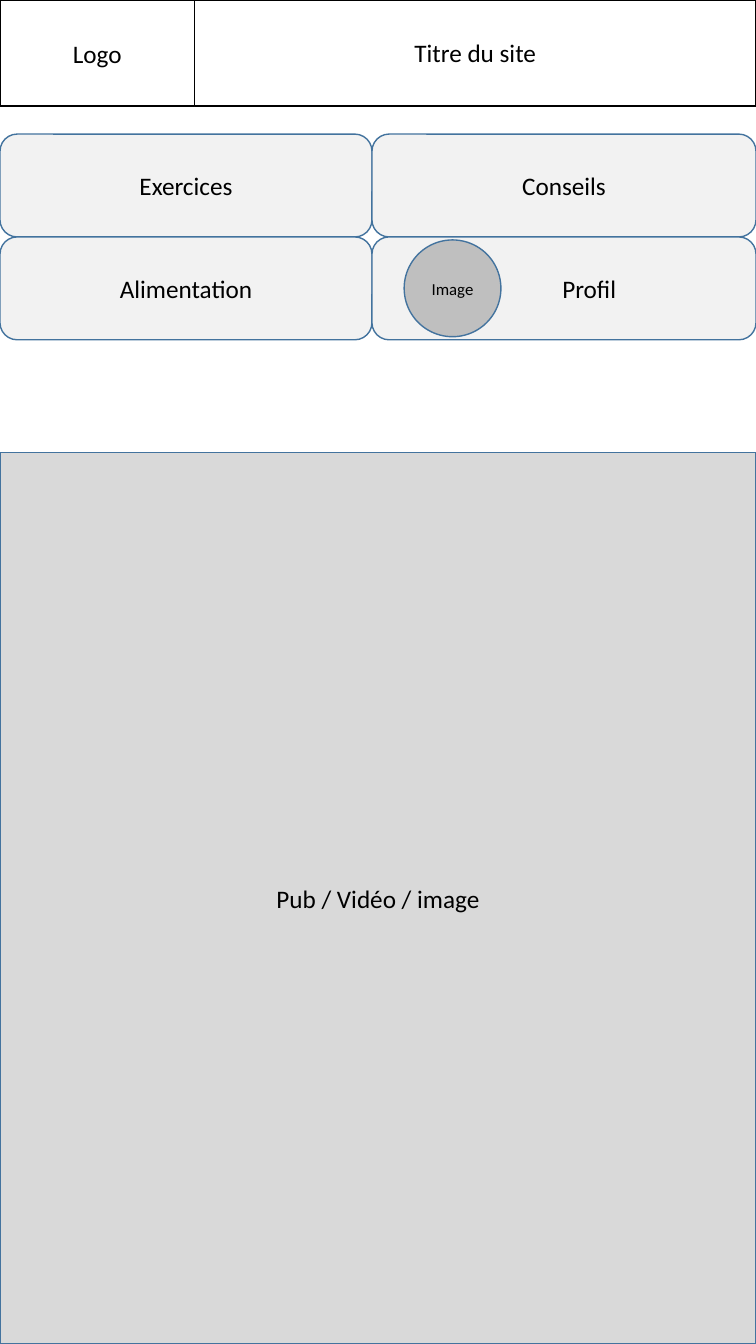
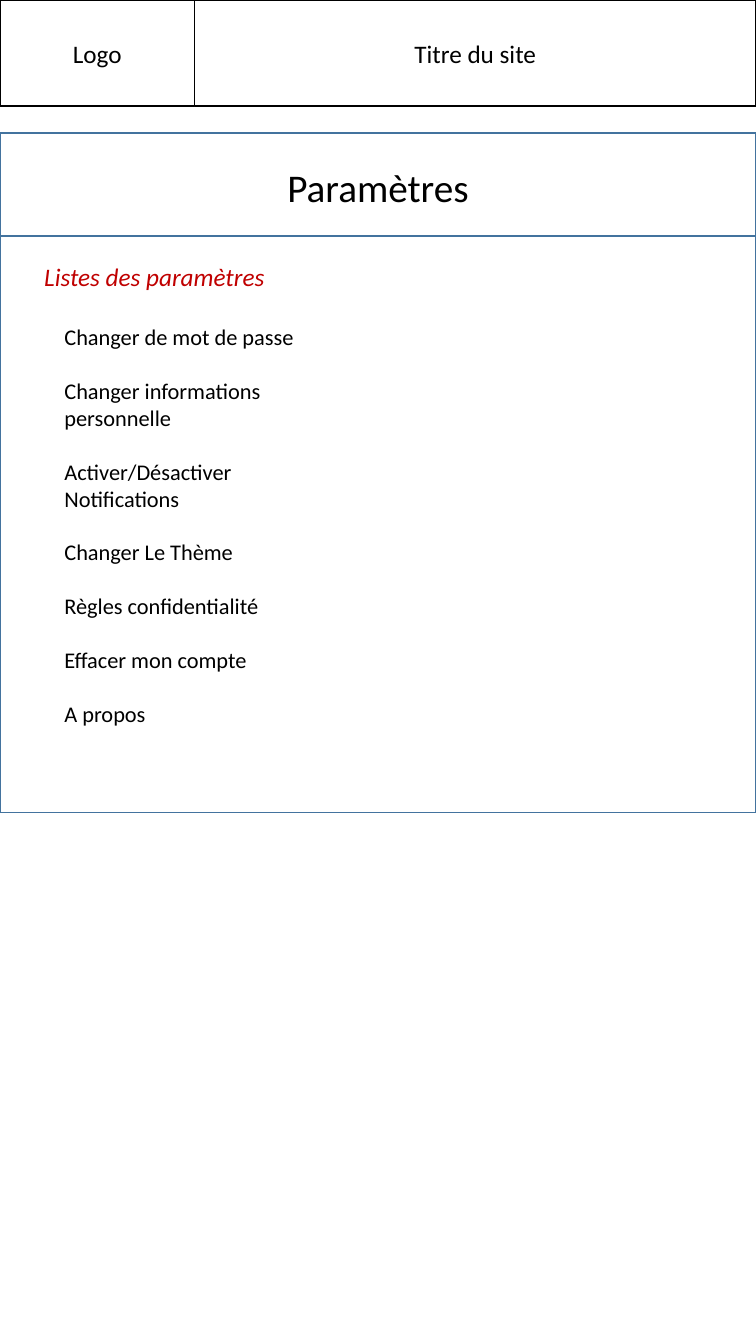
from pptx import Presentation
from pptx.dml.color import RGBColor
from pptx.enum import shapes, text
from pptx.util import Inches, Pt

BLACK = RGBColor(0x00, 0x00, 0x00)
WHITE = RGBColor(0xFF, 0xFF, 0xFF)
BLUE = RGBColor(0x43, 0x73, 0x9E)
RED = RGBColor(0xC0, 0x00, 0x00)
PALE = RGBColor(0xF2, 0xF2, 0xF2)
LIGHT = RGBColor(0xD9, 0xD9, 0xD9)
GREY = RGBColor(0xBF, 0xBF, 0xBF)

FONT = "Calibri"
WIDTH, HEIGHT = 7.5, 13.33
LOGO_W, HEADER_H = 1.93, 1.05
TITLE_ONLY = 5
RECT = shapes.MSO_SHAPE.RECTANGLE
ROUNDED = shapes.MSO_SHAPE.ROUNDED_RECTANGLE
OVAL = shapes.MSO_SHAPE.OVAL
CENTER, LEFT = text.PP_ALIGN.CENTER, text.PP_ALIGN.LEFT
MIDDLE, TOP = text.MSO_ANCHOR.MIDDLE, text.MSO_ANCHOR.TOP


def write(sp, *lines, size=18, color=BLACK, italic=False, align=CENTER,
          anchor=MIDDLE, gap=0, indent=0.1):
    """Fill a shape with one paragraph per line."""
    tf = sp.text_frame
    tf.word_wrap = True
    tf.auto_size = text.MSO_AUTO_SIZE.NONE
    tf.vertical_anchor = anchor
    tf.margin_left, tf.margin_right = Inches(indent), Inches(0.1)
    tf.margin_top = tf.margin_bottom = Inches(0.05)
    for i, line in enumerate(lines):
        p = tf.add_paragraph() if i else tf.paragraphs[0]
        p.alignment = align
        p.space_after = Pt(gap)
        r = p.add_run()
        r.text = line
        r.font.name, r.font.size = FONT, Pt(size)
        r.font.italic = italic
        r.font.color.rgb = color


class Wireframe:
    """Page style and the slide being drawn."""

    def __init__(self):
        """Start an empty portrait deck."""
        self.prs = Presentation()
        self.prs.slide_width = Inches(WIDTH)
        self.prs.slide_height = Inches(HEIGHT)
        self.s = None

    def page(self):
        """Add a title-only slide with the logo cell."""
        layout = self.prs.slide_layouts[TITLE_ONLY]
        self.s = self.prs.slides.add_slide(layout)
        self.box(0, 0, LOGO_W, HEADER_H, "Logo", line=BLACK)

    def paint(self, sp, fill, line):
        """Set the fill and the outline."""
        sp.fill.solid()
        sp.fill.fore_color.rgb = fill
        sp.line.color.rgb = line
        sp.line.width = Pt(1)

    def title(self, x, y, w, h, label, line=BLUE, **style):
        """Place and format the title placeholder."""
        sp = self.s.shapes.title
        sp.left, sp.top, sp.width, sp.height = map(Inches, (x, y, w, h))
        self.paint(sp, WHITE, line)
        write(sp, label, **style)

    def box(self, x, y, w, h, label=None, kind=RECT, fill=WHITE, line=BLUE,
            **style):
        """Draw an outlined block with an optional label."""
        sp = self.s.shapes.add_shape(kind, *map(Inches, (x, y, w, h)))
        sp.shadow.inherit = False
        self.paint(sp, fill, line)
        if label:
            write(sp, label, **style)

    def note(self, x, y, w, h, *lines, **style):
        """Add left-aligned free text."""
        sp = self.s.shapes.add_textbox(*map(Inches, (x, y, w, h)))
        write(sp, *lines, align=LEFT, anchor=TOP, **style)


SITE_TITLE = (LOGO_W, 0, WIDTH - LOGO_W, HEADER_H, "Titre du site")


def home(deck):
    """Draw the home page: menu grid and media area."""
    deck.page()
    deck.title(*SITE_TITLE, line=BLACK)
    menu_y, button_h, split = 1.33, 1.02, 3.69
    columns = ((0, split), (split, WIDTH - split))
    menu = (("Exercices", "Conseils"), ("Alimentation", "Profil"))
    for row, labels in enumerate(menu):
        for (x, w), label in zip(columns, labels):
            indent = 0.6 if label == "Profil" else 0.1
            deck.box(x, menu_y + row * button_h, w, button_h, label,
                     kind=ROUNDED, fill=PALE, indent=indent)
    deck.box(4.01, 2.38, 0.96, 0.96, "Image", kind=OVAL, fill=GREY, size=12)
    media_y = 4.49
    deck.box(0, media_y, WIDTH, HEIGHT - media_y, "Pub / Vidéo / image",
             fill=LIGHT)


def settings(deck):
    """Draw the settings page: heading and list of options."""
    deck.page()
    deck.box(*SITE_TITLE, line=BLACK)
    deck.title(0, 1.32, WIDTH, 1.06, "Paramètres", size=28)
    deck.box(0, 2.34, WIDTH, 5.72)
    deck.note(0.34, 2.54, 2.69, 0.4, "Listes des paramètres",
              color=RED, italic=True)
    deck.note(0.54, 3.16, 2.68, 4.14,
              "Changer de mot de passe",
              "Changer informations personnelle",
              "Activer/Désactiver Notifications",
              "Changer Le Thème",
              "Règles confidentialité",
              "Effacer mon compte",
              "A propos",
              size=16, gap=19.2)


deck = Wireframe()
home(deck)
settings(deck)
deck.prs.save("out.pptx")
